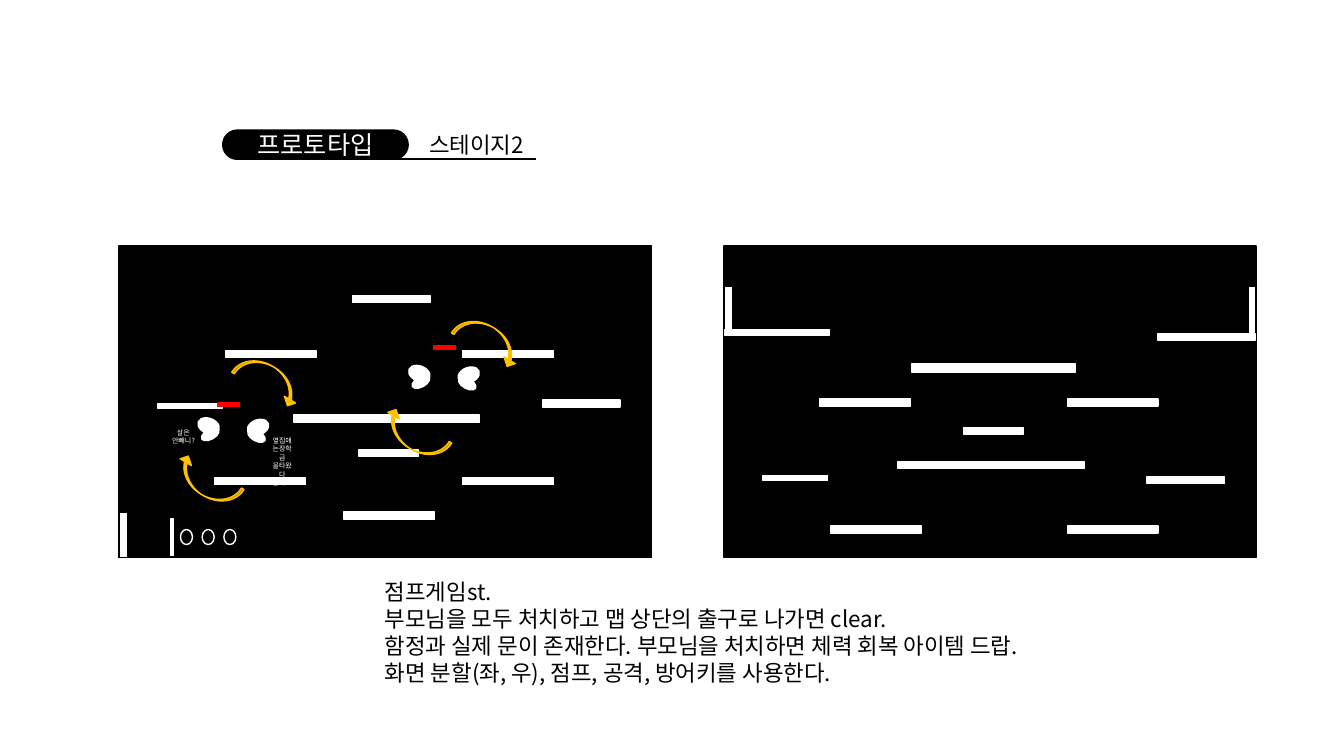
from lxml.etree import SubElement
from pptx import Presentation
from pptx.dml.color import RGBColor
from pptx.enum.shapes import MSO_CONNECTOR, MSO_SHAPE
from pptx.enum.text import MSO_ANCHOR, MSO_AUTO_SIZE, PP_ALIGN
from pptx.oxml.ns import qn
from pptx.util import Pt

FONT = "Noto Sans CJK KR"
COLORS = {"black": "000000", "white": "FFFFFF", "red": "FF0000", "gold": "FFC000"}

TITLE = "프로토타입"
STAGE = ["스테이지2"]
DESCRIPTION = [
    "점프게임st.",
    "부모님을 모두 처치하고 맵 상단의 출구로 나가면 clear.",
    "함정과 실제 문이 존재한다. 부모님을 처치하면 체력 회복 아이템 드랍.",
    "화면 분할(좌, 우), 점프, 공격, 방어키를 사용한다.",
]
LEFT_SPEECH = ["살은", "안빼니?"]
RIGHT_SPEECH = ["옆집애", "는장학금", "을타왔다", "는데…"]

PANEL_LEFTS = [85, 517]
PANEL_TOP, PANEL_WIDTH, PANEL_HEIGHT = 175.7, 380.2, 222.5
MIRROR_SUM = 631.4

SHARED_PLATFORMS = [
    (153.4, 341.3, 64.8, 5), (330.5, 341.3, 64.8, 5),
    (387.4, 285.8, 55.4, 5), (113, 288, 46.1, 3.6),
    (256.3, 321.1, 42.5, 5), (209.5, 296.6, 133.2, 5),
    (161.3, 250.6, 64.8, 5), (330.5, 250.6, 64.8, 5),
]
LEFT_PLATFORMS = [(245.5, 365.8, 64.8, 5), (252, 211, 55.4, 5), (121.7, 370.8, 2.2, 25.9)]
RIGHT_PLATFORMS = [(827.3, 238.3, 69.1, 5), (650.9, 259.9, 117.4, 5.8), (517.7, 235.4, 74.9, 4.3)]
POSTS = [(85, 365.8, 6.5, 32.4), (891.4, 204.5, 5.8, 33.8), (517.7, 204.5, 5.8, 31)]
HEALTH_BARS = [(309.6, 247), (155.5, 288)]
PARENTS = [(291.6, 261.4), (141.1, 298.8)]
PARENT_PARTS = [
    (0, 0, 15.8, 10.8, 21.3), (2.2, 7.9, 13.7, 7.2, 331.5),
    (35.3, 1.1, 15.8, 10.8, 338.7), (35.3, 9, 13.7, 7.2, 28.5),
]
ARROWS = [(182.9, 245.5, 301), (339.8, 217.4, 301), (138.2, 319, 121), (286.6, 285.8, 121)]
LIFE_LEFT, LIFE_TOP, LIFE_STEP, LIFE_COUNT = 128.9, 378.2, 15.5, 3


def color(name):
    return RGBColor.from_string(COLORS[name])


def add_block(kind, box, fill, line, rotation=0):
    shape = slide.shapes.add_shape(kind, *map(Pt, box))
    shape.shadow.inherit = False
    shape.rotation = rotation
    if fill:
        shape.fill.solid()
        shape.fill.fore_color.rgb = color(fill)
    else:
        shape.fill.background()
    shape.line.color.rgb = color(line)
    shape.line.width = Pt(1)
    return shape


def write(frame, lines, size, ink, alignment):
    for index, line in enumerate(lines):
        paragraph = frame.paragraphs[0] if index == 0 else frame.add_paragraph()
        run = paragraph.add_run()
        run.text = line
        paragraph.alignment = alignment
        paragraph.line_spacing = Pt(size * 1.2)
        run.font.name = FONT
        run.font.size = Pt(size)
        run.font.color.rgb = color(ink)
        SubElement(run.font._element, qn("a:ea"), typeface=FONT)


def add_text(box, lines, size, ink, alignment, wrap):
    frame = slide.shapes.add_textbox(*map(Pt, box)).text_frame
    frame.word_wrap = wrap
    frame.auto_size = MSO_AUTO_SIZE.SHAPE_TO_FIT_TEXT
    write(frame, lines, size, ink, alignment)


presentation = Presentation()
presentation.slide_width, presentation.slide_height = Pt(960), Pt(540)
slide = presentation.slides.add_slide(presentation.slide_layouts[6])

for left in PANEL_LEFTS:
    add_block(MSO_SHAPE.RECTANGLE, (left, PANEL_TOP, PANEL_WIDTH, PANEL_HEIGHT), "black", "black")
for box in POSTS:
    add_block(MSO_SHAPE.RECTANGLE, box, "white", "black")

panel_shift = PANEL_LEFTS[1] - PANEL_LEFTS[0]
mirrored_platforms = [
    (left + panel_shift, MIRROR_SUM - top - height, width, height)
    for left, top, width, height in SHARED_PLATFORMS
]
for box in SHARED_PLATFORMS + mirrored_platforms + LEFT_PLATFORMS + RIGHT_PLATFORMS:
    add_block(MSO_SHAPE.RECTANGLE, box, "white", "white")

for left, top in HEALTH_BARS:
    add_block(MSO_SHAPE.RECTANGLE, (left, top, 15.8, 2.2), "red", "red")
for parent_left, parent_top in PARENTS:
    for left, top, width, height, rotation in PARENT_PARTS:
        box = (parent_left + left, parent_top + top, width, height)
        add_block(MSO_SHAPE.OVAL, box, "white", "white", rotation)
for left, top, rotation in ARROWS:
    arrow = add_block(MSO_SHAPE.CURVED_LEFT_ARROW, (left, top, 18.7, 51.1), "gold", "gold", rotation)
    for index, value in enumerate((0.113, 0.5, 0.25)):
        arrow.adjustments[index] = value
for index in range(LIFE_COUNT):
    add_block(MSO_SHAPE.OVAL, (LIFE_LEFT + index * LIFE_STEP, LIFE_TOP, 8.6, 10.8), None, "white")

add_text((185.8, 308.2, 31.7, 16.6), RIGHT_SPEECH, 5, "white", PP_ALIGN.CENTER, True)
add_text((115.2, 302.4, 31.7, 10.8), LEFT_SPEECH, 5, "white", PP_ALIGN.CENTER, True)

title = add_block(MSO_SHAPE.ROUNDED_RECTANGLE, (159.1, 92.9, 132.5, 20.9), "black", "black")
title.adjustments[0] = 0.5
title.text_frame.vertical_anchor = MSO_ANCHOR.MIDDLE
write(title.text_frame, [TITLE], 18, "white", PP_ALIGN.CENTER)

add_text((299.5, 90, 87.8, 26.6), STAGE, 16, "black", PP_ALIGN.LEFT, False)
underline = slide.shapes.add_connector(MSO_CONNECTOR.STRAIGHT, Pt(168.5), Pt(113.8), Pt(383), Pt(113.8))
underline.line.color.rgb = color("black")
underline.line.width = Pt(1.5)
SubElement(underline._element.spPr, qn("a:effectLst"))

add_text((267.8, 409.7, 524.9, 85), DESCRIPTION, 16, "black", PP_ALIGN.LEFT, False)

presentation.save("out.pptx")
